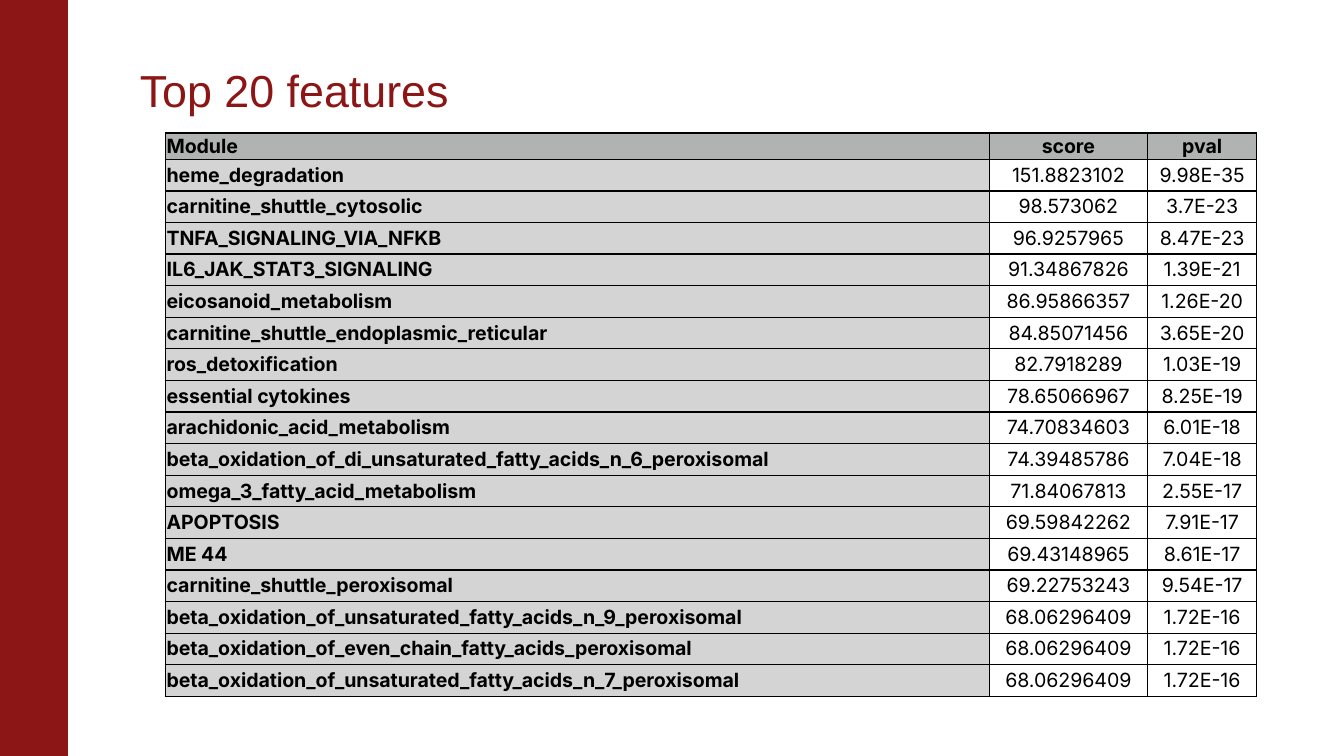
from pptx import Presentation
from pptx.dml.color import RGBColor
from pptx.enum.shapes import MSO_SHAPE
from pptx.enum.text import MSO_ANCHOR, PP_ALIGN
from pptx.oxml import parse_xml
from pptx.oxml.ns import nsdecls
from pptx.util import Inches, Pt

COLORS = {"red": "8C1515", "black": "000000", "header": "B0B3B2", "module": "D4D4D4"}

FEATURES = [
    ("Module", "score", "pval"),
    ("heme_degradation", "151.8823102", "9.98E-35"),
    ("carnitine_shuttle_cytosolic", "98.573062", "3.7E-23"),
    ("TNFA_SIGNALING_VIA_NFKB", "96.9257965", "8.47E-23"),
    ("IL6_JAK_STAT3_SIGNALING", "91.34867826", "1.39E-21"),
    ("eicosanoid_metabolism", "86.95866357", "1.26E-20"),
    ("carnitine_shuttle_endoplasmic_reticular", "84.85071456", "3.65E-20"),
    ("ros_detoxification", "82.7918289", "1.03E-19"),
    ("essential cytokines", "78.65066967", "8.25E-19"),
    ("arachidonic_acid_metabolism", "74.70834603", "6.01E-18"),
    ("beta_oxidation_of_di_unsaturated_fatty_acids_n_6_peroxisomal", "74.39485786", "7.04E-18"),
    ("omega_3_fatty_acid_metabolism", "71.84067813", "2.55E-17"),
    ("APOPTOSIS", "69.59842262", "7.91E-17"),
    ("ME 44", "69.43148965", "8.61E-17"),
    ("carnitine_shuttle_peroxisomal", "69.22753243", "9.54E-17"),
    ("beta_oxidation_of_unsaturated_fatty_acids_n_9_peroxisomal", "68.06296409", "1.72E-16"),
    ("beta_oxidation_of_even_chain_fatty_acids_peroxisomal", "68.06296409", "1.72E-16"),
    ("beta_oxidation_of_unsaturated_fatty_acids_n_7_peroxisomal", "68.06296409", "1.72E-16"),
]


def rgb(name):
    return RGBColor.from_string(COLORS[name])


class SlideBuilder:
    title_font, table_font = "Arial", "Inter"

    def __init__(self, prs):
        self.s = prs.slides.add_slide(prs.slide_layouts[5])

    def style(self, p, font, size, color, bold=False, align=PP_ALIGN.LEFT):
        p.alignment = align
        p.font.name, p.font.size, p.font.bold = font, Pt(size), bold
        p.font.color.rgb = rgb(color)

    def bar(self, x, y, w, h):
        sp = self.s.shapes.add_shape(MSO_SHAPE.RECTANGLE, Inches(x), Inches(y), Inches(w), Inches(h))
        sp.shadow.inherit = False
        sp.fill.solid()
        sp.fill.fore_color.rgb = sp.line.color.rgb = rgb("red")
        sp.line.width = Pt(0.75)

    def title(self, text, x, y, w, h):
        sp = self.s.shapes.title
        sp.left, sp.top, sp.width, sp.height = Inches(x), Inches(y), Inches(w), Inches(h)
        tf = sp.text_frame
        tf.text = text
        tf.word_wrap = True
        tf.vertical_anchor = MSO_ANCHOR.BOTTOM
        tf.margin_left, tf.margin_right = Inches(0), Inches(0.1)
        tf.margin_top = tf.margin_bottom = Inches(0.05)
        p = tf.paragraphs[0]
        p.line_spacing = 0.85
        self.style(p, self.title_font, 24, "red")

    def borders(self, cell):
        tcPr = cell._tc.get_or_add_tcPr()
        for side in ("lnL", "lnR", "lnT", "lnB"):
            tcPr.append(parse_xml(
                f'<a:{side} {nsdecls("a")} w="{Pt(0.75)}"><a:solidFill>'
                f'<a:srgbClr val="{COLORS["black"]}"/></a:solidFill></a:{side}>'))

    def cell(self, cell, text, fill, bold, align):
        cell.text = text
        cell.vertical_anchor = MSO_ANCHOR.MIDDLE
        cell.margin_left = cell.margin_right = Inches(0.01)
        cell.margin_top = cell.margin_bottom = Inches(0.01)
        self.borders(cell)
        if fill:
            cell.fill.solid()
            cell.fill.fore_color.rgb = rgb(fill)
        else:
            cell.fill.background()
        self.style(cell.text_frame.paragraphs[0], self.table_font, 10.5, "black", bold, align)

    def table(self, rows, x, y, widths, header_h, body_h):
        body_rows = len(rows) - 1
        heights = [header_h] + [body_h / body_rows] * body_rows
        table = self.s.shapes.add_table(
            len(rows), len(widths), Inches(x), Inches(y),
            Inches(sum(widths)), Inches(sum(heights))).table
        table.first_row = table.horz_banding = False
        for column, w in zip(table.columns, widths):
            column.width = Inches(w)
        for i, (values, h) in enumerate(zip(rows, heights)):
            table.rows[i].height = Inches(h)
            for j, value in enumerate(values):
                fill = "header" if i == 0 else "module" if j == 0 else None
                align = PP_ALIGN.CENTER if j else PP_ALIGN.LEFT
                self.cell(table.cell(i, j), value, fill, fill is not None, align)


# Widescreen 16:9 slide
SLIDE_W = 10
SLIDE_H = SLIDE_W * 9 / 16

prs = Presentation()
prs.slide_width, prs.slide_height = Inches(SLIDE_W), Inches(SLIDE_H)
slide = SlideBuilder(prs)

# Side bar and title
slide.bar(0, 0, 0.5, SLIDE_H)
slide.title("Top 20 features", 1.04, 0.39, 8.43, 0.53)

# Feature scores
slide.table(FEATURES, 1.23, 0.99, [6.13, 1.18, 0.81], 0.13, 4)

prs.save("out.pptx")
